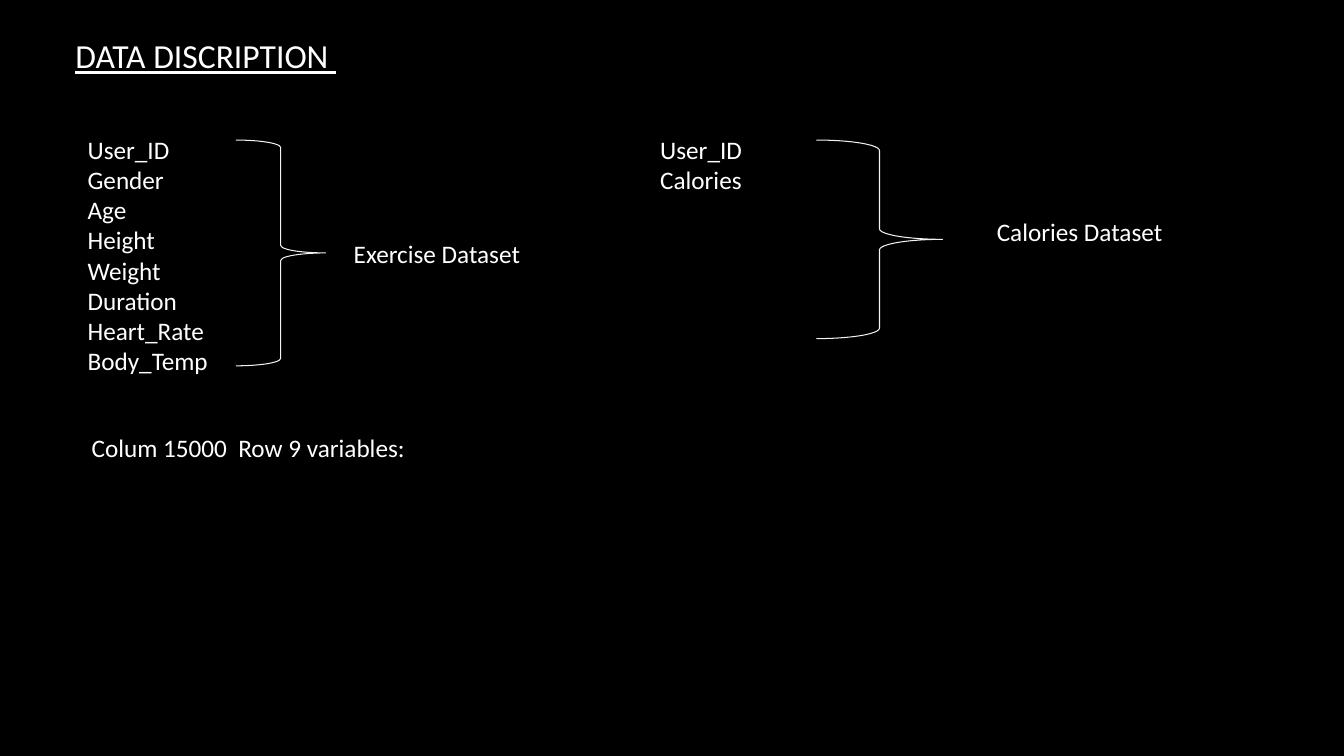
from pptx import Presentation, util as u
from pptx.dml.color import RGBColor
from pptx.enum import shapes, text

BLACK = RGBColor(0, 0, 0)
WHITE = RGBColor(255, 255, 255)
PALE = RGBColor(242, 242, 242)


class Board:
    """Draws on one slide, with places given as percent of its size."""

    base = {"name": "Calibri", "size": u.Pt(18)}

    def __init__(self, deck):
        self.wide, self.high = deck.slide_width, deck.slide_height
        self.slide = deck.slides.add_slide(deck.slide_layouts[6])
        fill = self.slide.background.fill
        fill.solid()
        fill.fore_color.rgb = BLACK

    def place(self, x, y, w, h):
        return [int(part * side / 100) for part, side in
                zip((x, y, w, h), (self.wide, self.high) * 2)]

    def label(self, lines, *spot, **style):
        frame = self.slide.shapes.add_textbox(*self.place(*spot)).text_frame
        frame.word_wrap = True
        frame.auto_size = text.MSO_AUTO_SIZE.SHAPE_TO_FIT_TEXT
        frame.text = "\n".join(lines)
        for para in frame.paragraphs:
            font = para.runs[0].font
            font.color.rgb = WHITE
            for key, value in {**self.base, **style}.items():
                setattr(font, key, value)

    def brace(self, *spot):
        kind = shapes.MSO_SHAPE.RIGHT_BRACE
        mark = self.slide.shapes.add_shape(kind, *self.place(*spot))
        mark.shadow.inherit = False
        mark.fill.background()
        mark.line.color.rgb = PALE
        mark.line.width = u.Pt(0.75)


def main():
    deck = Presentation()
    deck.slide_width, deck.slide_height = u.Inches(13.33), u.Inches(7.5)
    board = Board(deck)
    board.label(["DATA DISCRIPTION "], 4.88, 4, 80.7, 6.73,
                size=u.Pt(24), underline=True)

    top, edge, row = 17.07, 18.53, 5.38
    sets = [
        ("Exercise Dataset",
         ["User_ID", "Gender", "Age", "Height", "Weight", "Duration",
          "Heart_Rate", "Body_Temp"],
         5.78, 37.73, (17.55, 6.68, 29.87), (25.58, 30.93, 16.88)),
        ("Calories Dataset", ["User_ID", "Calories"],
         48.38, 9.47, (60.75, 9.38, 26.27), (73.43, 28, 20.78)),
    ]
    for name, fields, left, tall, (x, wide, high), spot in sets:
        board.label(fields, left, top, 20.63, tall)
        board.brace(x, edge, wide, high)
        board.label([name], *spot, row)

    board.label(["Colum 15000  Row 9 variables:"], 6.08, 56.53, 29.78, row)
    deck.save("out.pptx")


if __name__ == "__main__":
    main()
